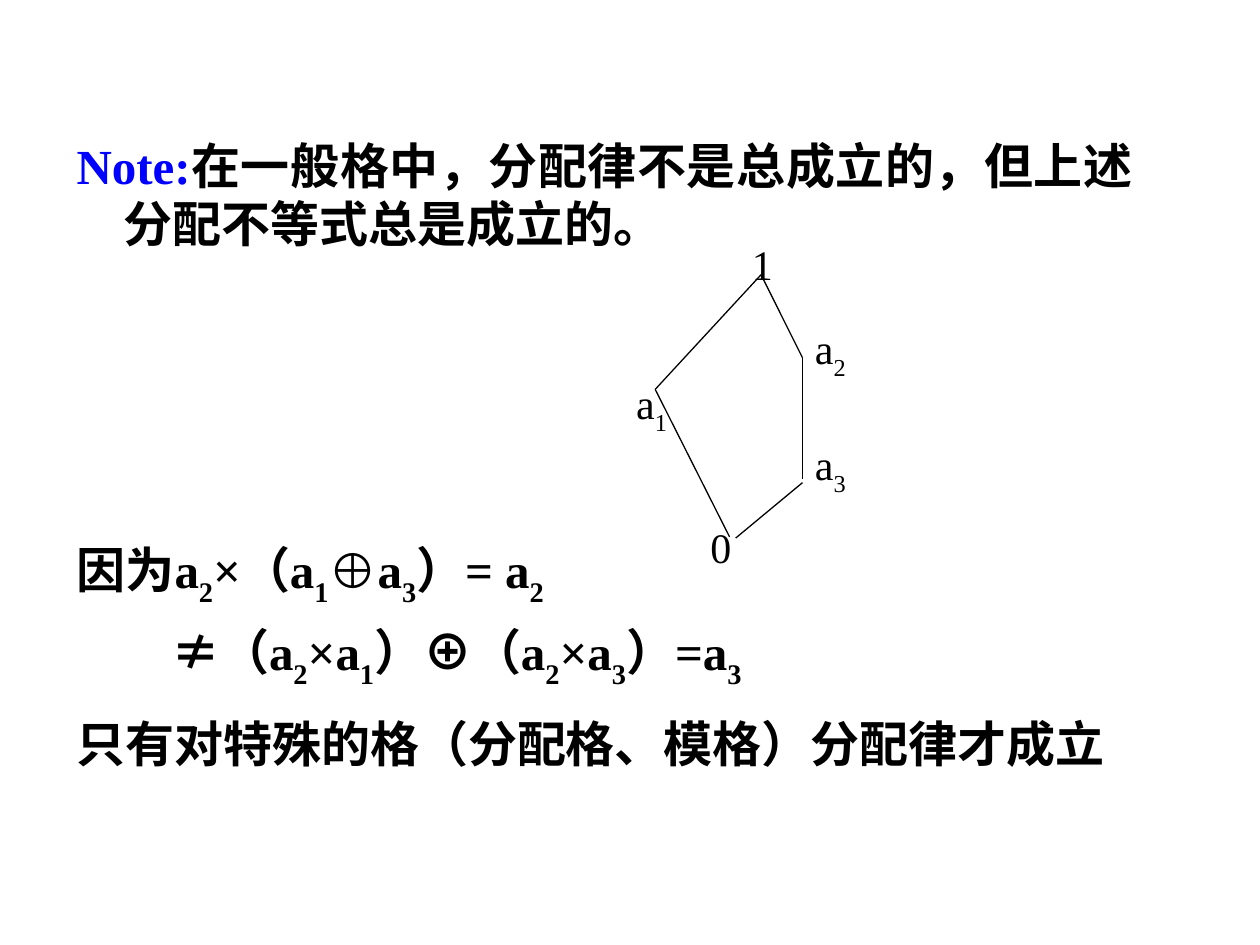
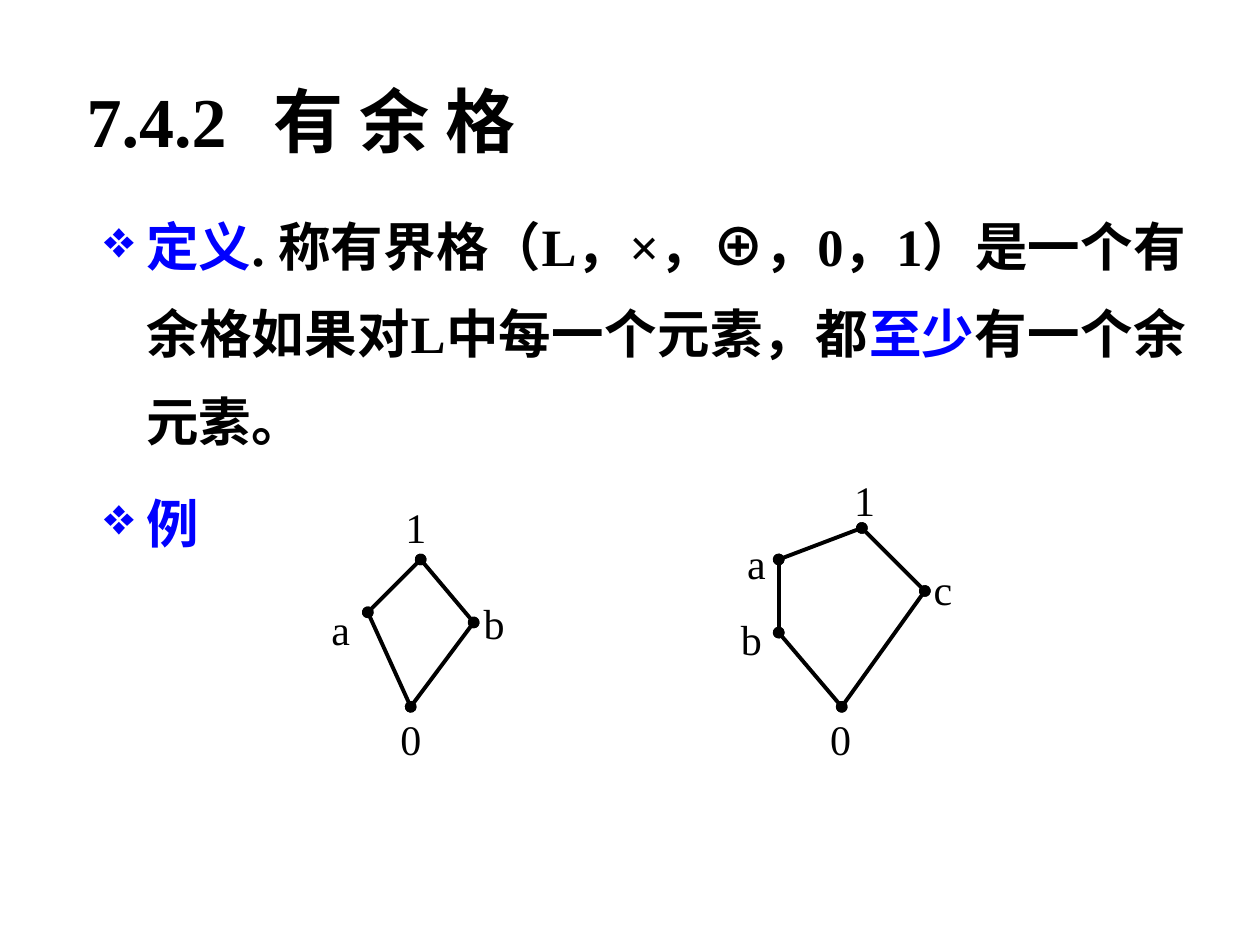
from itertools import pairwise

from lxml import etree
from pptx import Presentation
from pptx.dml.color import RGBColor
from pptx.enum.shapes import MSO_CONNECTOR
from pptx.enum.text import MSO_ANCHOR, PP_ALIGN
from pptx.oxml.ns import qn
from pptx.util import Pt

LINE = MSO_CONNECTOR.STRAIGHT
TOP, MIDDLE = MSO_ANCHOR.TOP, MSO_ANCHOR.MIDDLE
LEFT, JUSTIFY = PP_ALIGN.LEFT, PP_ALIGN.JUSTIFY
COLORS = {"ink": "000000", "key": "0000FF"}
LATIN, HAN = "Times New Roman", "Noto Sans CJK SC"


def color(name):
    return RGBColor.from_string(COLORS[name])


def add(parent, tag, **attrs):
    return etree.SubElement(parent, qn(tag), attrs)


def frame(slide, box, inset=3.6, anchor=TOP):
    shape = slide.shapes.add_textbox(*map(Pt, box))
    text = shape.text_frame
    text.word_wrap = True
    text.margin_top = Pt(inset)
    text.vertical_anchor = anchor
    return text


def style(para, size, bold, align=LEFT):
    para.alignment = align
    font = para.font
    font.name, font.size, font.bold = LATIN, Pt(size), bold
    font.color.rgb = color("ink")
    add(para._p.pPr.find(qn("a:defRPr")), "a:ea", typeface=HAN)


def write(para, text):
    """Add runs: *word* is in the key colour, _n sets n as a subscript."""
    for i, part in enumerate(text.split("*")):
        for j, piece in enumerate(part.split("_")):
            cut = 1 if j else 0
            for chars, low in ((piece[:cut], True), (piece[cut:], False)):
                if not chars:
                    continue
                run = para.add_run()
                run.text = chars
                if i % 2:
                    run.font.color.rgb = color("key")
                if low:
                    run._r.get_or_add_rPr().set("baseline", "-28000")


def indent(para, left, first):
    props = para._p.get_or_add_pPr()
    props.set("marL", str(Pt(left)))
    props.set("indent", str(Pt(first)))
    return props


def bullet(para):
    props = indent(para, 34, -24)
    add(add(props, "a:buClr"), "a:srgbClr", val=COLORS["key"])
    add(props, "a:buChar", char="❖")


def body(slide, box, size, pitch, items):
    """Fill a box with (text, space before, left, first); left None is a bullet."""
    text = frame(slide, box, inset=7)
    for i, (words, gap, left, first) in enumerate(items):
        para = text.add_paragraph() if i else text.paragraphs[0]
        para.line_spacing = Pt(pitch)
        para.space_before = Pt(gap)
        if left is None:
            bullet(para)
        else:
            indent(para, left, first)
        style(para, size, True, JUSTIFY)
        write(para, words)


def title(slide, box, text, tab):
    para = frame(slide, box, anchor=MIDDLE).paragraphs[0]
    stops = add(para._p.get_or_add_pPr(), "a:tabLst")
    add(stops, "a:tab", pos=str(Pt(tab)), algn="l")
    style(para, 40, True)
    write(para, text)


def edge(slide, start, end, width, dots):
    line = slide.shapes.add_connector(LINE, *map(Pt, start + end))
    line.line.color.rgb = color("ink")
    line.line.width = Pt(width)
    if dots:
        for tag in ("a:headEnd", "a:tailEnd"):
            add(line.line._get_or_add_ln(), tag, type="oval")
    add(line._element.spPr, "a:effectLst")


def lattice(slide, left, top, paths, labels, width=2.25, dots=True):
    """Draw the edges along each path, then the labels, from (left, top)."""
    for path in paths:
        points = [(left + x, top + y) for x, y in path]
        for start, end in pairwise(points):
            edge(slide, start, end, width, dots)
    for text, x, y in labels:
        para = frame(slide, (left + x, top + y, 38, 36)).paragraphs[0]
        style(para, 24, False)
        write(para, text)


def note(slide):
    body(slide, (36.7, 71.3, 617.8, 419.8), 28, 33, [
        ("*Note:*在一般格中，分配律不是总成立的，但上述分配不等式总是成立的。", 0, 27, -27),
        ("因为a_2×（a_1⊕a_3）= a_2", 170, 27, -27),
        ("≠（a_2×a_1）⊕（a_2×a_3）=a_3", 14, 54, 0),
        ("只有对特殊的格（分配格、模格）分配律才成立", 14, 27, -27),
    ])
    lattice(
        slide, 374.4, 157,
        [[(84.2, 116.6), (84.2, 47.5), (60.5, 0), (0, 65.5), (42.5, 149.8)],
         [(84.2, 118.8), (46, 150.5)]],
        [("a_2", 84.2, 23.8), ("a_3", 84.2, 90), ("0", 24.5, 137.5),
         ("1", 48.2, -24.5), ("a_1", -18, 55.4)],
        width=0.75, dots=False)


def lesson(slide):
    title(slide, (42.5, 37.4, 612, 62), "7.4.2\t有 余 格", 107)
    body(slide, (42.5, 100.8, 642.2, 434.2), 30, 50.25, [
        ("*定义*. 称有界格（L，×，⊕，0，1）是一个有余格如果对L中每一个元素，"
         "都*至少*有一个余元素。", 0, None, None),
        ("*例*", 7.5, None, None),
    ])
    lattice(
        slide, 210.2, 319.7,
        [[(30.2, 0), (60.5, 36), (24.5, 84.2), (0, 30.2), (30.2, 0)]],
        [("b", 59, 18), ("a", -28, 21.6), ("1", 14.4, -36.7),
         ("0", 11.5, 84.2)])
    lattice(
        slide, 445, 301.7,
        [[(47.5, 0), (83.5, 36), (36, 102.2), (0, 59.8), (0, 18), (47.5, 0)]],
        [("a", -25.2, 2.2), ("c", 81.4, 16.6), ("1", 36, -33.8),
         ("0", 22.3, 102.2), ("b", -28.8, 45.4)])


def main():
    deck = Presentation()
    deck.slide_width, deck.slide_height = Pt(720), Pt(540)
    for build in (note, lesson):
        build(deck.slides.add_slide(deck.slide_layouts[6]))
    deck.save("out.pptx")


if __name__ == "__main__":
    main()
